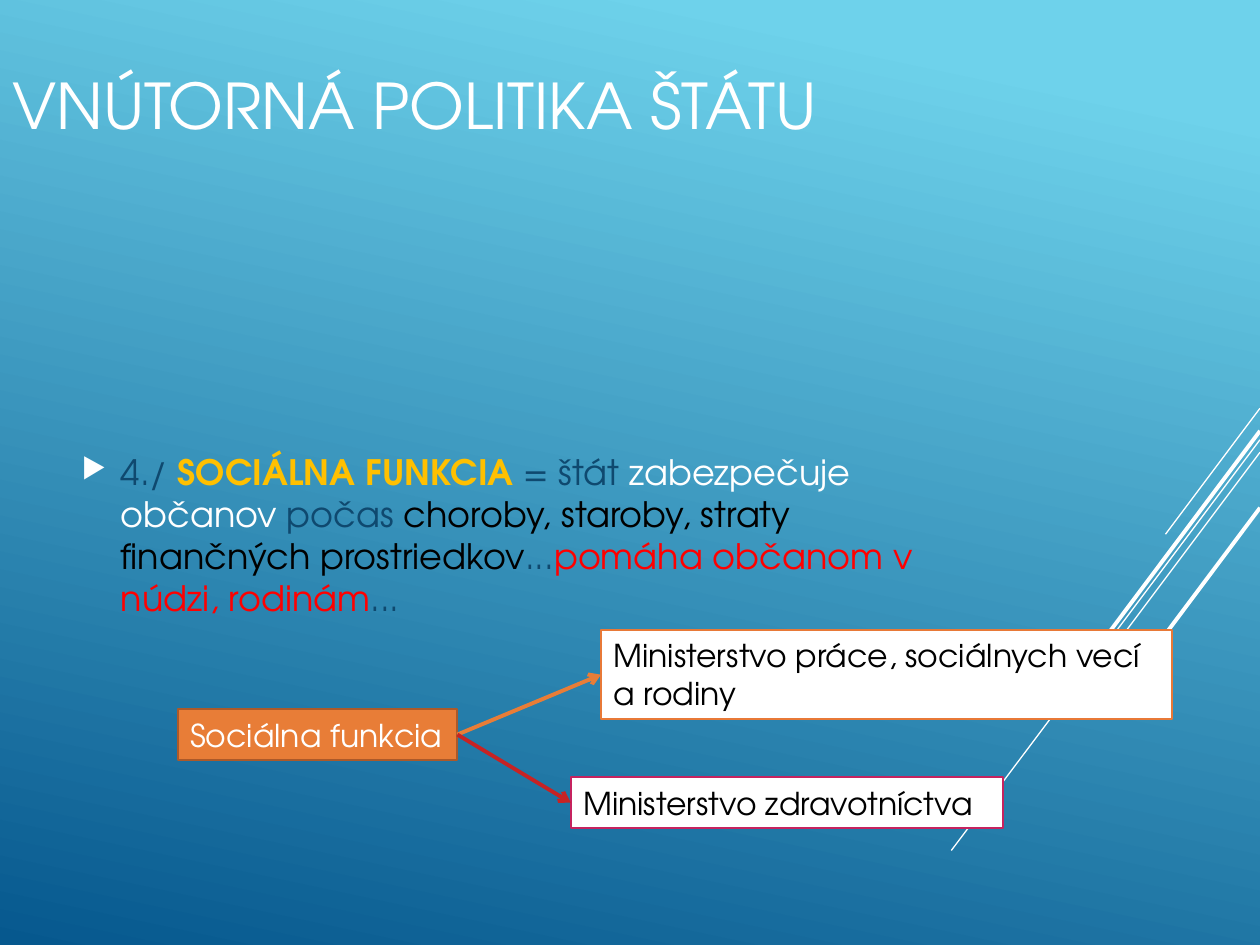
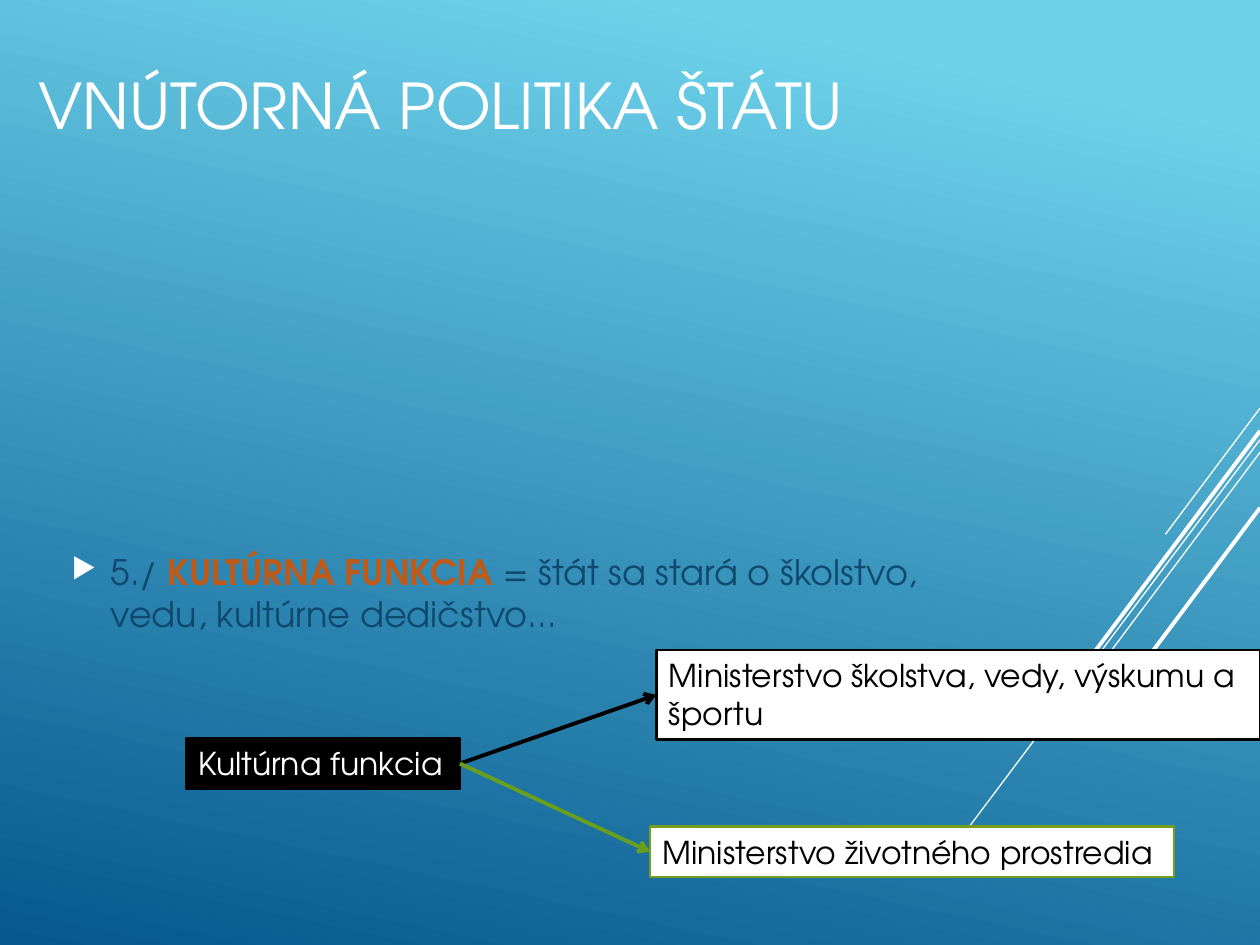
from lxml import etree
from pptx import Presentation
from pptx.dml.color import RGBColor as RGB
from pptx.enum.shapes import MSO_CONNECTOR as LINK, MSO_SHAPE as FORM
from pptx.enum.text import MSO_ANCHOR as ANCHOR, MSO_AUTO_SIZE as SIZE, PP_ALIGN as ALIGN
from pptx.oxml.ns import qn
from pptx.util import Inches, Pt

FONT = "TeX Gyre Adventor"
WHITE = RGB(0xFF, 0xFF, 0xFF)
BLACK = RGB(0x00, 0x00, 0x00)
SKY = RGB(0x6E, 0xD2, 0xEB)
DEEP = RGB(0x06, 0x58, 0x8E)
NAVY = RGB(0x0F, 0x49, 0x6F)
GOLD = RGB(0xFF, 0xC0, 0x00)
RED = RGB(0xFF, 0x00, 0x00)
RUST = RGB(0xC1, 0x5A, 0x16)
AMBER = RGB(0xE8, 0x7D, 0x37)
CORAL = RGB(0xE8, 0x79, 0x37)
BROWN = RGB(0xAC, 0x59, 0x29)
BRICK = RGB(0xC6, 0x23, 0x24)
ROSE = RGB(0xC6, 0x23, 0x5F)
OLIVE = RGB(0x75, 0x9E, 0x1F)
GREEN = RGB(0x6A, 0x9E, 0x1F)

# Grid of 100 columns and 75 rows on a slide of 10 by 7.5 inches
CELL = 0.1
WIDE, HIGH = 100, 75
TEXT_W, TITLE_H, BODY_H = 70, 16.5, 39.5
# Box heights for one and two lines of text
BOX_H = {1: 4, 2: 7.1}
# Each ray: row at the right edge, column and row of its foot, weight
RAYS = [(32.4, 92.5, 42.4, 0.75), (34.9, 75.5, 67.5, 0.75),
        (35.9, 84.4, 56.7, 0.75), (34.2, 85.7, 53.3, 2.25),
        (40.3, 89.6, 54.2, 2.25)]


def grid(*cells):
    return [Inches(cell * CELL) for cell in cells]


def write(para, text, size, color, bold=False):
    run = para.add_run()
    run.text = text
    font = run.font
    font.name, font.size, font.bold = FONT, Pt(size), bold
    font.color.rgb = color


def draw(slide, ends, color, weight):
    line = slide.shapes.add_connector(LINK.STRAIGHT, *grid(*ends))
    line.line.color.rgb = color
    line.line.width = Pt(weight)
    etree.SubElement(line._element.spPr, qn("a:effectLst"))
    return line


def stage(deck):
    """Add a slide with the gradient and the rays."""
    slide = deck.slides.add_slide(deck.slide_layouts[6])
    fill = slide.background.fill
    fill.gradient()
    fill.gradient_angle = 360 - 102
    for stop, color, place in zip(fill.gradient_stops, (SKY, DEEP), (0.1, 1)):
        stop.color.rgb, stop.position = color, place
    for top, col, row, weight in RAYS:
        draw(slide, (WIDE, top, col, row), WHITE, weight)
    return slide


def panel(slide, *place):
    """Add a text box with wrapped, middle-anchored text."""
    frame = slide.shapes.add_textbox(*grid(*place)).text_frame
    frame.word_wrap = True
    frame.vertical_anchor = ANCHOR.MIDDLE
    return frame.paragraphs[0]


def title(slide, align):
    para = panel(slide, 0, 0, TEXT_W, TITLE_H)
    para.alignment = align
    write(para, "VNÚTORNÁ POLITIKA ŠTÁTU", 36, WHITE)


def bullet(para):
    props = para._p.get_or_add_pPr()
    indent = Inches(0.31)
    props.set("marL", str(indent))
    props.set("indent", str(-indent))
    tint = etree.SubElement(props, qn("a:buClr"))
    etree.SubElement(tint, qn("a:srgbClr"), val=str(WHITE))
    etree.SubElement(props, qn("a:buSzPct"), val="80000")
    etree.SubElement(props, qn("a:buChar"), char="▶")


def body(slide, left, top, runs):
    para = panel(slide, left, top, TEXT_W, BODY_H)
    bullet(para)
    para.space_after = Pt(6)
    for text, color, *bold in runs:
        write(para, text, 20, color, bool(bold))


def box(slide, place, lines, fill, edge, ink):
    left, top, width = place
    shape = slide.shapes.add_shape(
        FORM.RECTANGLE, *grid(left, top, width, BOX_H[len(lines)]))
    shape.shadow.inherit = False
    shape.fill.solid()
    shape.fill.fore_color.rgb = fill
    shape.line.color.rgb = edge
    shape.line.width = Pt(1.25)
    frame = shape.text_frame
    frame.word_wrap = False
    frame.auto_size = SIZE.SHAPE_TO_FIT_TEXT
    frame.vertical_anchor = ANCHOR.TOP
    for num, text in enumerate(lines):
        para = frame.add_paragraph() if num else frame.paragraphs[0]
        para.alignment = ALIGN.LEFT
        write(para, text, 18, ink)
    return shape


def arrow(slide, start, end, color):
    """Join the right side of start to the left side of end."""
    line = draw(slide, (0, 0, 0, 0), color, 2.25)
    line.begin_connect(start, 3)
    line.end_connect(end, 1)
    etree.SubElement(line.line._get_or_add_ln(), qn("a:tailEnd"), type="arrow")


def tree(slide, place, name, fill, edge, offices):
    """Draw a function and the ministries it leads to."""
    root = box(slide, place, [name], fill, edge, WHITE)
    for spot, lines, rim, tint in offices:
        leaf = box(slide, spot, lines, WHITE, rim, BLACK)
        arrow(slide, root, leaf, tint)


def social(deck):
    slide = stage(deck)
    title(slide, ALIGN.LEFT)
    body(slide, 5.5, 22.7, [
        ("4./ ", NAVY),
        ("SOCIÁLNA FUNKCIA ", GOLD, True),
        ("= štát ", NAVY),
        ("zabezpečuje občanov ", WHITE),
        ("počas ", NAVY),
        ("choroby, staroby, straty finančných prostriedkov", BLACK),
        ("...", NAVY),
        ("pomáha občanom v núdzi, rodinám", RED),
        ("...", NAVY)])
    tree(slide, (14.1, 56.3, 22.2), "Sociálna funkcia", AMBER, BROWN, [
        ((47.7, 50, 45.3), ["Ministerstvo práce, sociálnych vecí", "a rodiny"],
         CORAL, AMBER),
        ((45.3, 61.7, 34.3), ["Ministerstvo zdravotníctva"], ROSE, BRICK)])


def culture(deck):
    slide = stage(deck)
    title(slide, ALIGN.CENTER)
    body(slide, 4.7, 27.3, [
        ("5./ ", NAVY),
        ("KULTÚRNA FUNKCIA ", RUST, True),
        ("= štát sa stará o školstvo, vedu, kultúrne dedičstvo...", NAVY)])
    tree(slide, (14.8, 58.6, 21.7), "Kultúrna funkcia", BLACK, BLACK, [
        ((52.1, 51.6, 47.9), ["Ministerstvo školstva, vedy, výskumu a", "športu"],
         BLACK, BLACK),
        ((51.6, 65.6, 41.6), ["Ministerstvo životného prostredia"], OLIVE, GREEN)])


def main():
    deck = Presentation()
    deck.slide_width, deck.slide_height = grid(WIDE, HIGH)
    social(deck)
    culture(deck)
    deck.save("out.pptx")


if __name__ == "__main__":
    main()
